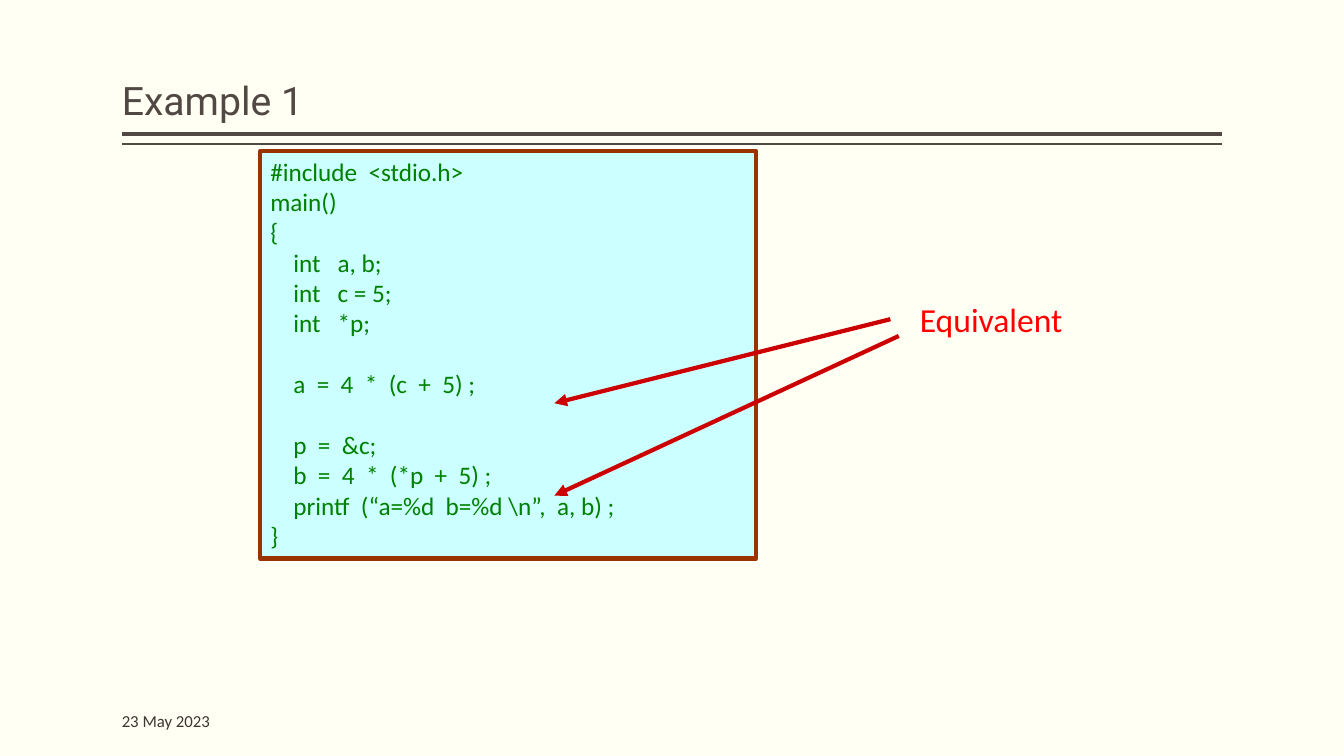
from pptx import Presentation
from pptx import util as u
from pptx.dml.color import RGBColor
from pptx.enum import shapes, text
from pptx.oxml.ns import qn
from lxml import etree

PAPER = RGBColor(0xFF, 0xFF, 0xF3)
BROWN = RGBColor(0x51, 0x48, 0x43)
DARK = RGBColor(0x3D, 0x36, 0x32)
CYAN = RGBColor(0xCC, 0xFF, 0xFF)
RUST = RGBColor(0x99, 0x33, 0x00)
GREEN = RGBColor(0x00, 0x80, 0x00)
RED = RGBColor(0xFF, 0x00, 0x00)
CRIMSON = RGBColor(0xCC, 0x00, 0x00)

# Content: code as (indent level, lines of space before, text)
TITLE = "Example 1"
DATE = "23 May 2023"
NOTE = "Equivalent"
CODE = [
    (0, 0, "#include  <stdio.h>"),
    (0, 0, "main()"),
    (0, 0, "{"),
    (1, 0, "int   a, b;"),
    (1, 0, "int   c = 5;"),
    (1, 0, "int   *p;"),
    (1, 1, "a  =  4  *  (c  +  5) ;"),
    (1, 1, "p  =  &c;"),
    (1, 0, "b  =  4  *  (*p  +  5) ;"),
    (1, 0, "printf  (“a=%d  b=%d \\n”,  a, b) ;"),
    (0, 0, "}"),
]
LEFT, WIDE = 116, 1048
RULES = [(128, 3), (137, 1)]  # y, weight
ARROWS = [(848, 304, 528, 384), (856, 320, 528, 472)]
INDENT = 22
LINE = 22  # points


def px(n):
    return u.Emu(n * 9525)


def place(shape, *box):
    shape.left, shape.top, shape.width, shape.height = map(px, box)


def write(par, words, size, color, font="Calibri"):
    run = par.add_run()
    run.text = words
    run.font.size = u.Pt(size)
    run.font.name = font
    run.font.color.rgb = color


def label(box, words, size, color, anchor):
    frame = slide.shapes.add_textbox(*map(px, box)).text_frame
    frame.word_wrap = True
    frame.vertical_anchor = anchor
    write(frame.paragraphs[0], words, size, color)
    return frame


def line(ends, color, weight):
    link = slide.shapes.add_connector(shapes.MSO_CONNECTOR.STRAIGHT, *map(px, ends))
    link.line.color.rgb = color
    link.line.width = u.Pt(weight)
    etree.SubElement(link._element.spPr, qn("a:effectLst"))
    return link


deck = Presentation()
deck.slide_width, deck.slide_height = px(1280), px(720)
slide = deck.slides.add_slide(deck.slide_layouts[5])
slide.background.fill.solid()
slide.background.fill.fore_color.rgb = PAPER

# Title and double rule
title = slide.shapes.title
place(title, LEFT, 8, WIDE, 115)
frame = title.text_frame
frame.margin_left = frame.margin_right = 0
frame.vertical_anchor = text.MSO_ANCHOR.BOTTOM
par = frame.paragraphs[0]
par.alignment = text.PP_ALIGN.LEFT
par.line_spacing = 0.9
write(par, TITLE, 28, BROWN, "Roboto")
for y, weight in RULES:
    line((LEFT + WIDE, y, LEFT, y), BROWN, weight)

# Date
frame = label((LEFT, 667, 192, 38), DATE, 12, DARK, text.MSO_ANCHOR.MIDDLE)
frame.margin_left = frame.margin_right = 0

# Code box
box = slide.shapes.add_shape(shapes.MSO_SHAPE.RECTANGLE, *map(px, (248, 144, 472, 388)))
box.shadow.inherit = False
box.fill.solid()
box.fill.fore_color.rgb = CYAN
box.line.color.rgb = RUST
box.line.width = u.Pt(3)
frame = box.text_frame
frame.word_wrap = True
frame.vertical_anchor = text.MSO_ANCHOR.TOP
for i, (level, gap, words) in enumerate(CODE):
    par = frame.add_paragraph() if i else frame.paragraphs[0]
    par.alignment = text.PP_ALIGN.LEFT
    par.space_before = u.Pt(gap * LINE)
    par._p.get_or_add_pPr().set("marL", str(px(level * INDENT)))
    write(par, words, 18, GREEN)

# Note and its arrows
frame = label((832, 280, 224, 48), NOTE, 24, RED, text.MSO_ANCHOR.TOP)
frame.paragraphs[0].alignment = text.PP_ALIGN.CENTER
for ends in ARROWS:
    arrow = line(ends, CRIMSON, 3)
    etree.SubElement(arrow.line._get_or_add_ln(), qn("a:tailEnd"), type="triangle")

deck.save("out.pptx")
